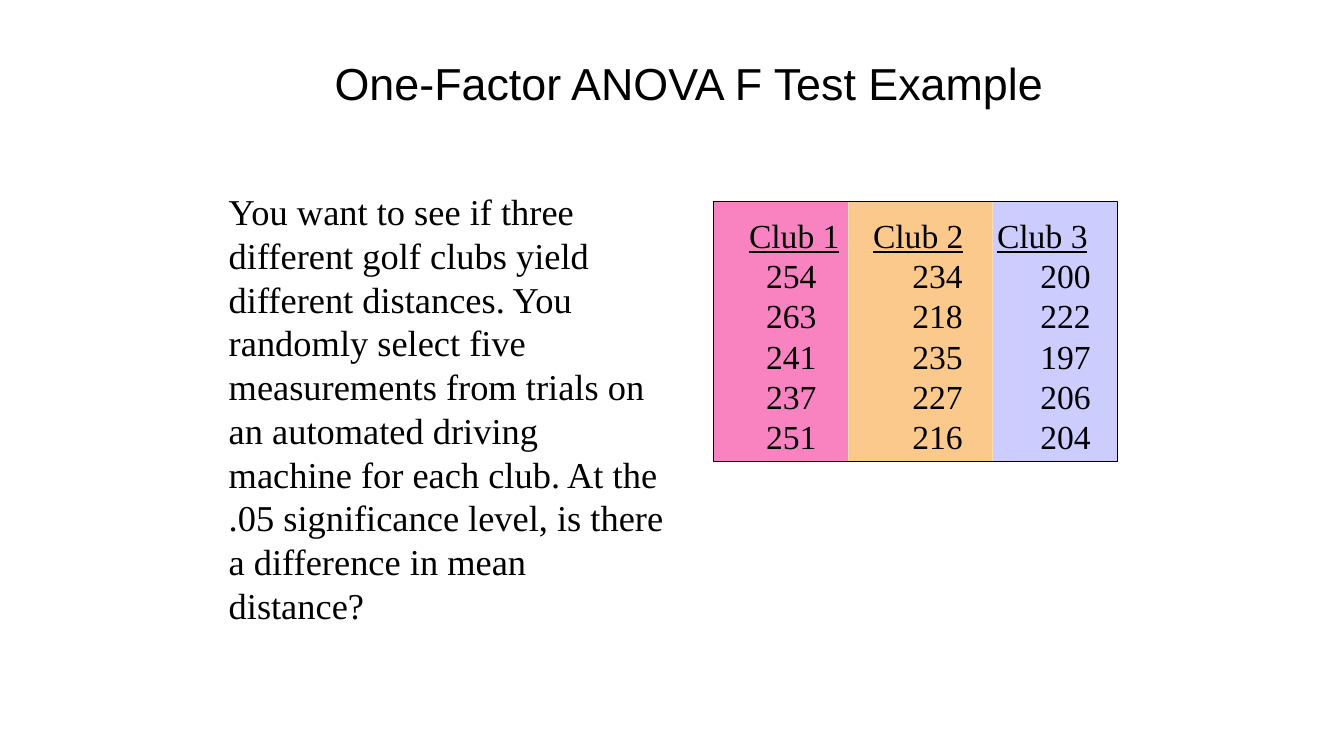
"""Build the one-factor ANOVA F test example slide."""
import pptx
import pptx.dml.color
import pptx.enum.shapes
import pptx.enum.text
import pptx.util
from lxml import etree
from pptx.util import Inches, Pt


def color(value):
    """Return the colour for a hex string."""
    return pptx.dml.color.RGBColor.from_string(value)


def add_span(para, text, size, font="Times New Roman"):
    """Append one formatted run to a paragraph."""
    span = para.add_run()
    span.text = text
    span.font.size = Pt(size)
    span.font.name = font
    span.font.color.rgb = color("000000")
    return span


deck = pptx.Presentation()
deck.slide_width = Inches(13.33)
deck.slide_height = Inches(7.5)
page = deck.slides.add_slide(deck.slide_layouts[5])

panels = [
    (9.83, 1.25, "CCCCFF", None),
    (8.42, 1.42, "FCC98C", "FDDCB5"),
    (7.08, 1.33, "F983C1", None),
    (7.08, 4, None, "000000"),
]
for left, width, fill, line in panels:
    panel = page.shapes.add_shape(
        pptx.enum.shapes.MSO_SHAPE.RECTANGLE,
        Inches(left), Inches(2), Inches(width), Inches(2.58))
    panel.shadow.inherit = False
    if fill:
        panel.fill.solid()
        panel.fill.fore_color.rgb = color(fill)
    else:
        panel.fill.background()
    if line:
        panel.line.color.rgb = color(line)
        panel.line.width = Pt(0.75)
    else:
        panel.line.fill.background()

title = page.shapes.title
title.left, title.top = Inches(2.75), Inches(0.33)
title.width, title.height = Inches(8.17), Inches(1.08)
title.text_frame.vertical_anchor = pptx.enum.text.MSO_ANCHOR.MIDDLE
para = title.text_frame.paragraphs[0]
para.alignment = pptx.enum.text.PP_ALIGN.CENTER
para.line_spacing = 0.8
add_span(para, "One-Factor ANOVA F Test Example", 32, "Arial")

question = page.shapes.add_textbox(Inches(2.17), Inches(1.83), Inches(4.58), Inches(4.09))
question.text_frame.word_wrap = True
para = question.text_frame.paragraphs[0]
para.line_spacing = Pt(31.2)
add_span(
    para,
    "You want to see if three different golf clubs yield different distances. "
    "You randomly select five measurements from trials on an automated driving "
    "machine for each club. At the .05 significance level, is there a difference "
    "in mean distance?", 26)

distances = [
    ("Club 1", "Club 2", "Club 3"),
    ("254", "234", "200"),
    ("263", "218", "222"),
    ("241", "235", "197"),
    ("237", "227", "206"),
    ("251", "216", "204"),
]
readings = page.shapes.add_textbox(Inches(7.08), Inches(2.08), Inches(4), Inches(2.5))
readings.text_frame.word_wrap = True
for index, row in enumerate(distances):
    is_header = index == 0
    para = readings.text_frame.paragraphs[0] if is_header else readings.text_frame.add_paragraph()
    para.alignment = pptx.enum.text.PP_ALIGN.LEFT
    para.line_spacing = Pt(28.8)
    tab_list = etree.SubElement(para._p.get_or_add_pPr(), pptx.oxml.ns.qn("a:tabLst"))
    for stop in (0.7, 1.93, 3.16) if is_header else (0.67, 2.12, 3.39):
        etree.SubElement(tab_list, pptx.oxml.ns.qn("a:tab"), pos=str(Inches(stop)), algn="ctr")
    for entry in row:
        add_span(para, "\t", 24)
        add_span(para, entry, 24).font.underline = is_header

deck.save("out.pptx")
